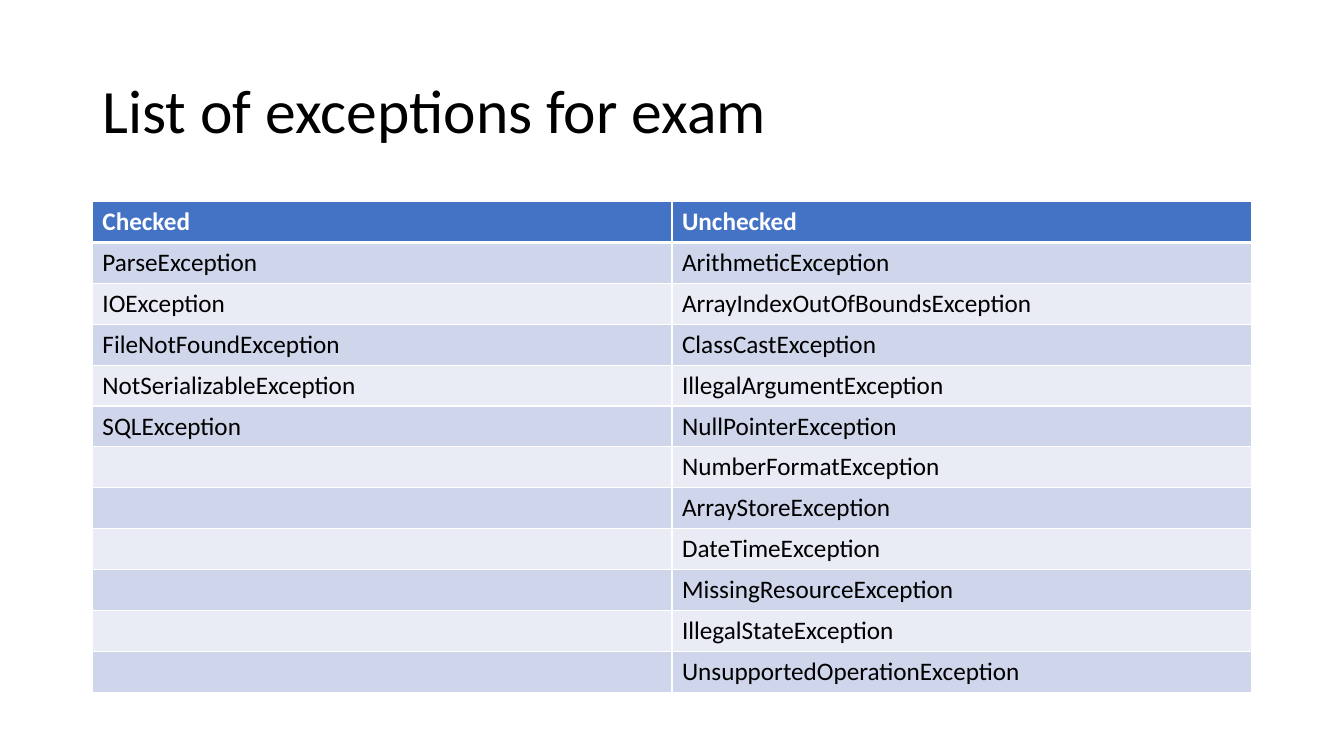
"""Build a slide listing the checked and unchecked exceptions for an exam."""
from itertools import zip_longest

from lxml import etree
from pptx import Presentation
from pptx.dml.color import RGBColor
from pptx.enum import text
from pptx.oxml import ns
from pptx.util import Pt

BLACK = RGBColor(0x00, 0x00, 0x00)
WHITE = RGBColor(0xFF, 0xFF, 0xFF)
HEADER_BLUE = RGBColor(0x44, 0x72, 0xC4)
BANDS = [RGBColor(0xE9, 0xEB, 0xF5), RGBColor(0xCF, 0xD5, 0xEA)]
FONT = "Calibri"
LEFT, WIDTH, ROW_HEIGHT = Pt(66), Pt(828), Pt(29.2)

CHECKED = [
    "Checked",
    "ParseException",
    "IOException",
    "FileNotFoundException",
    "NotSerializableException",
    "SQLException",
]
UNCHECKED = [
    "Unchecked",
    "ArithmeticException",
    "ArrayIndexOutOfBoundsException",
    "ClassCastException",
    "IllegalArgumentException",
    "NullPointerException",
    "NumberFormatException",
    "ArrayStoreException",
    "DateTimeException",
    "MissingResourceException",
    "IllegalStateException",
    "UnsupportedOperationException",
]


def add_run(paragraph, words, size, color, bold=False):
    run = paragraph.add_run()
    run.text = words
    run.font.name = FONT
    run.font.size = Pt(size)
    run.font.bold = bold
    run.font.color.rgb = color


def add_border(cell, side, width):
    line = etree.SubElement(cell._tc.get_or_add_tcPr(), ns.qn(f"a:{side}"), w=str(Pt(width)))
    fill = etree.SubElement(line, ns.qn("a:solidFill"))
    etree.SubElement(fill, ns.qn("a:srgbClr"), val=str(WHITE))


deck = Presentation()
deck.slide_width, deck.slide_height = Pt(960), Pt(540)
slide = deck.slides.add_slide(deck.slide_layouts[5])

title = slide.shapes.title
title.left, title.top, title.width, title.height = LEFT, Pt(28.8), WIDTH, Pt(104.4)
title.text_frame.vertical_anchor = text.MSO_ANCHOR.MIDDLE
heading = title.text_frame.paragraphs[0]
heading.alignment = text.PP_ALIGN.LEFT
heading.line_spacing = 0.9
add_run(heading, "List of exceptions for exam", 44, BLACK)

rows = list(zip_longest(CHECKED, UNCHECKED, fillvalue=""))
exceptions = slide.shapes.add_table(
    len(rows), 2, LEFT, Pt(144), WIDTH, ROW_HEIGHT * len(rows)
).table

for row_index, names in enumerate(rows):
    is_header = row_index == 0
    exceptions.rows[row_index].height = ROW_HEIGHT
    for column_index, name in enumerate(names):
        cell = exceptions.cell(row_index, column_index)
        add_border(cell, "lnL", 1)
        add_border(cell, "lnR", 1)
        add_border(cell, "lnT", 3 if row_index == 1 else 1)
        add_border(cell, "lnB", 3 if is_header else 1)
        cell.fill.solid()
        cell.fill.fore_color.rgb = HEADER_BLUE if is_header else BANDS[row_index % 2]
        if name:
            add_run(cell.text_frame.paragraphs[0], name, 18, WHITE if is_header else BLACK, is_header)

deck.save("out.pptx")
